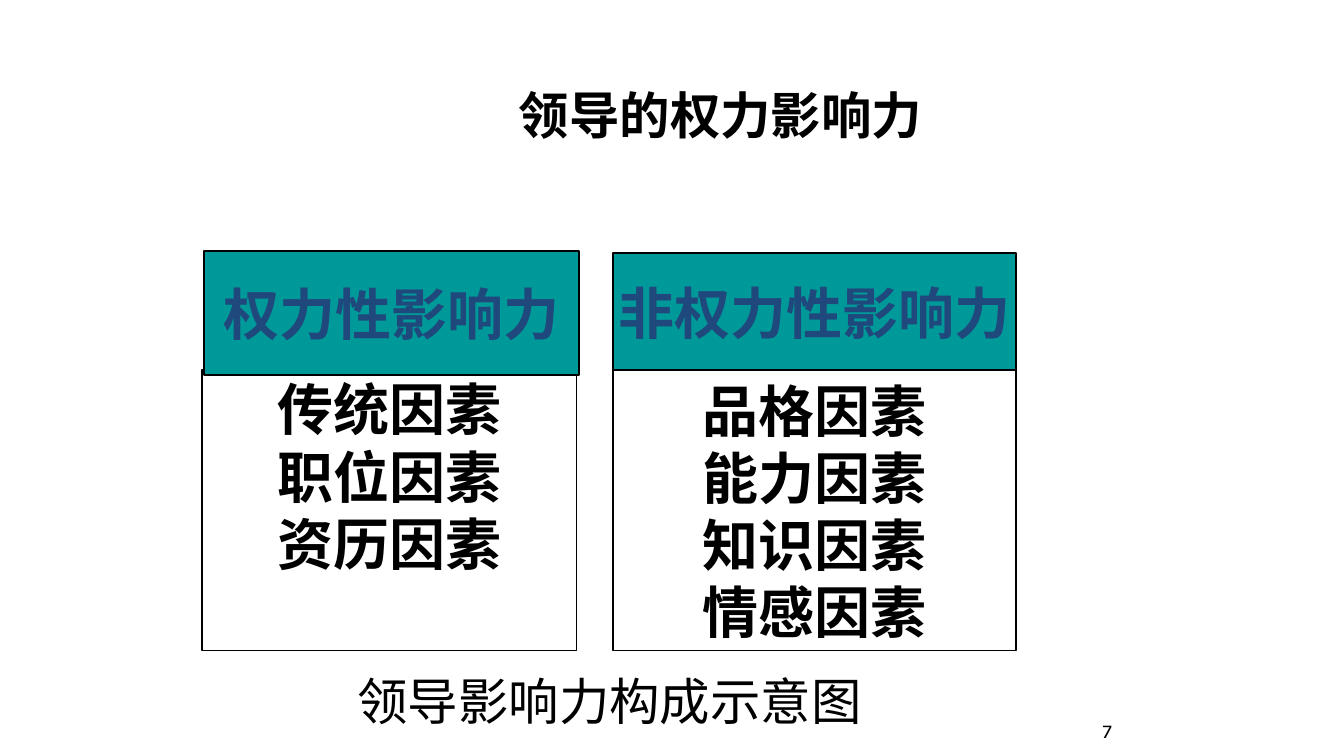
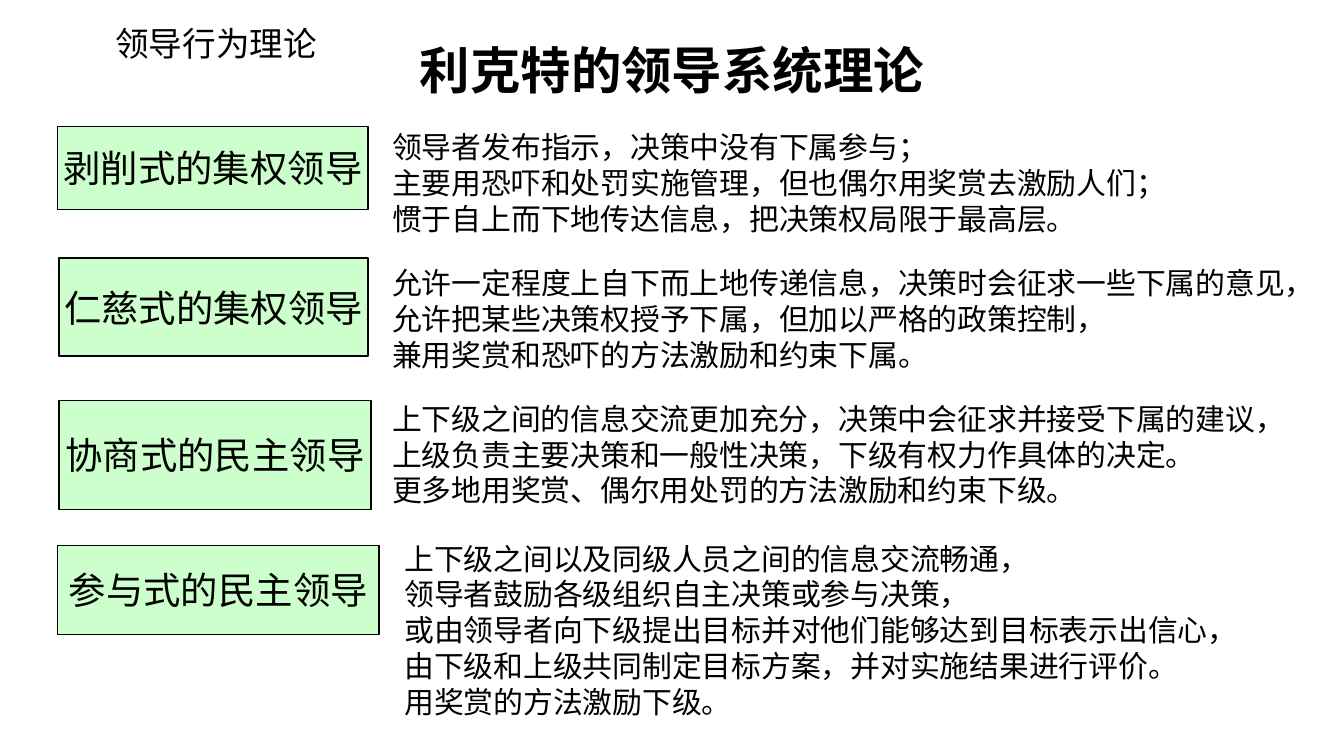
from pptx import Presentation
from pptx.dml.color import RGBColor
from pptx.enum.shapes import MSO_SHAPE as Shape
from pptx.enum.text import MSO_ANCHOR as Anchor, PP_ALIGN as Align
from pptx.util import Emu, Pt

SCALE = 9144
COLORS = {
    "white": "FFFFFF",
    "black": "000000",
    "teal": "009999",
    "navy": "1F497D",
    "mint": "CCFFCC",
}
BODY_INSETS = (10, 5, 10, 5)
TIGHT_INSETS = (8, 4, 8, 4)

LEADER_STYLES = [
    ((43, 94, 231, 62), "剥削式的集权领导", "Times New Roman",
     (282, 91, 598, 91),
     ["领导者发布指示，决策中没有下属参与；",
      "主要用恐吓和处罚实施管理，但也偶尔用奖赏去激励人们；",
      "惯于自上而下地传达信息，把决策权局限于最高层。"]),
    ((44, 192, 230, 73), "仁慈式的集权领导", "Karla",
     (282, 192, 709, 91),
     ["允许一定程度上自下而上地传递信息，决策时会征求一些下属的意见，",
      "允许把某些决策权授予下属，但加以严格的政策控制，",
      "兼用奖赏和恐吓的方法激励和约束下属。"]),
    ((44, 298, 232, 81), "协商式的民主领导", "Times New Roman",
     (282, 293, 687, 91),
     ["上下级之间的信息交流更加充分，决策中会征求并接受下属的建议，",
      "上级负责主要决策和一般性决策，下级有权力作具体的决定。",
      "更多地用奖赏、偶尔用处罚的方法激励和约束下级。"]),
    ((43, 406, 239, 66), "参与式的民主领导", "Times New Roman",
     (291, 397, 642, 145),
     ["上下级之间以及同级人员之间的信息交流畅通，",
      "领导者鼓励各级组织自主决策或参与决策，",
      "或由领导者向下级提出目标并对他们能够达到目标表示出信心，",
      "由下级和上级共同制定目标方案，并对实施结果进行评价。",
      "用奖赏的方法激励下级。"]),
]


def px(length):
    """Turn a length in px into EMU."""
    return Emu(length * SCALE)


def color(name):
    """Look up a named colour."""
    return RGBColor.from_string(COLORS[name])


def write(shape, lines, size, font, ink="black", bold=False, align=Align.LEFT,
          anchor=Anchor.TOP, insets=BODY_INSETS, wrap=True):
    """Fill a shape with paragraphs of one style."""
    frame = shape.text_frame
    frame.text = "\n".join(lines)
    frame.word_wrap = wrap
    frame.vertical_anchor = anchor
    (frame.margin_left, frame.margin_top,
     frame.margin_right, frame.margin_bottom) = map(px, insets)
    for para in frame.paragraphs:
        para.alignment = align
        for span in para.runs:
            span.font.size = Pt(size)
            span.font.name = font
            span.font.bold = bold
            span.font.color.rgb = color(ink)


def add_text(page, box, lines, size, font, **style):
    """Add a text box."""
    write(page.shapes.add_textbox(*map(px, box)), lines, size, font, **style)


def add_panel(page, box, fill, border, lines, size, font, **style):
    """Add an outlined rectangle with centred text."""
    panel = page.shapes.add_shape(Shape.RECTANGLE, *map(px, box))
    panel.shadow.inherit = False
    panel.fill.solid()
    panel.fill.fore_color.rgb = color(fill)
    panel.line.color.rgb = color("black")
    panel.line.width = Pt(border)
    write(panel, lines, size, font, align=Align.CENTER, **style)


def add_title(page, box, text, shift=0, lift=0):
    """Add the slide title, its text moved right by shift and up by lift."""
    add_text(page, box, [text], 27, "Calibri", bold=True, align=Align.CENTER,
             anchor=Anchor.BOTTOM, insets=(10 + 2 * shift, 5, 10, 5 + lift))


def add_power_head(page, box, text):
    """Add the heading of a kind of influence."""
    add_panel(page, box, "teal", 1, [text], 30, "Arial", ink="navy", bold=True,
              anchor=Anchor.MIDDLE, insets=TIGHT_INSETS, wrap=False)


def add_power_factors(page, box, factors, insets):
    """Add the factors of a kind of influence."""
    add_panel(page, box, "white", 1, factors, 30, "Arial", bold=True,
              insets=insets)


def add_leader_style(page, label_box, label, font, text_box, lines):
    """Add a leadership style and its description."""
    add_panel(page, label_box, "mint", 0.75, [label], 20, font,
              anchor=Anchor.MIDDLE, wrap=False)
    add_text(page, text_box, lines, 16, "Calibri", wrap=False)


def build_power_slide(page):
    """Build the slide on the influence of power."""
    add_text(page, (681, 519, 156, 38), ["7"], 10.5, "Karla",
             align=Align.RIGHT, anchor=Anchor.BOTTOM)
    add_title(page, (50, 23, 900, 94), "领导的权力影响力", shift=36, lift=4)
    add_power_factors(page, (150, 275, 279, 209),
                      ["传统因素", "职位因素", "资历因素"], TIGHT_INSETS)
    add_power_head(page, (152, 187, 279, 92), "权力性影响力")
    add_power_head(page, (456, 188, 300, 89), "非权力性影响力")
    add_power_factors(page, (456, 275, 300, 209),
                      ["品格因素", "能力因素", "知识因素", "情感因素"], BODY_INSETS)
    add_text(page, (244, 494, 419, 55), ["领导影响力构成示意图"], 27,
             "Roboto Condensed", align=Align.CENTER)


def build_systems_slide(page):
    """Build the slide on the four leadership systems."""
    add_title(page, (50, 23, 900, 56), "利克特的领导系统理论")
    for style in LEADER_STYLES:
        add_leader_style(page, *style)
    add_text(page, (76, 12, 172, 40), ["领导行为理论"], 18,
             "Noto Sans CJK SC", wrap=False)


def main():
    """Build and save the deck."""
    deck = Presentation()
    deck.slide_width = px(1000)
    deck.slide_height = Emu(deck.slide_width * 9 // 16)
    for build in (build_power_slide, build_systems_slide):
        page = deck.slides.add_slide(deck.slide_layouts[6])
        page.background.fill.solid()
        page.background.fill.fore_color.rgb = color("white")
        build(page)
    deck.save("out.pptx")


if __name__ == "__main__":
    main()
